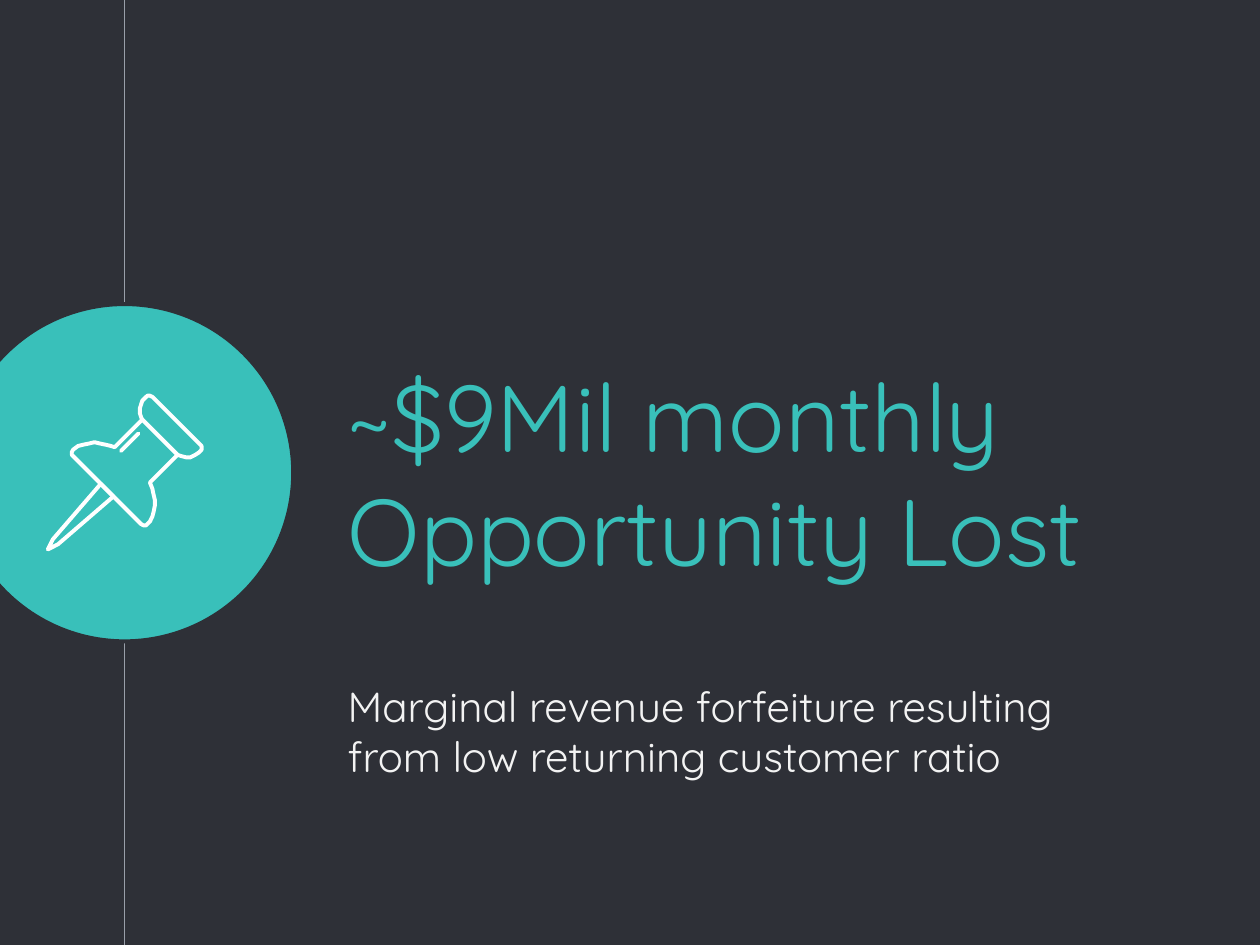
from dataclasses import dataclass

from lxml.etree import SubElement
from pptx import Presentation
from pptx.dml.color import RGBColor
from pptx.enum.shapes import MSO_CONNECTOR as Connector, MSO_SHAPE as Shape
from pptx.enum.text import MSO_ANCHOR as Anchor, MSO_AUTO_SIZE as AutoSize, PP_ALIGN as Align
from pptx.oxml.ns import qn
from pptx.util import Pt


@dataclass(frozen=True)
class Theme:
    font: str = "Quicksand"
    background: RGBColor = RGBColor(0x2E, 0x30, 0x37)
    accent: RGBColor = RGBColor(0x39, 0xC0, 0xBA)
    body: RGBColor = RGBColor(0xF3, 0xF3, 0xF3)
    icon: RGBColor = RGBColor(0xFF, 0xFF, 0xFF)
    rule: RGBColor = RGBColor(0x99, 0x9F, 0xA9)
    title_size: float = 54
    body_size: float = 24
    rule_width: float = 0.75
    outline_width: float = 2.25


@dataclass(frozen=True)
class TextBlock:
    text: str
    left: float
    top: float
    width: float
    height: float
    size: float
    color: RGBColor
    anchor: Anchor


@dataclass(frozen=True)
class Outline:
    points: tuple[tuple[int, int], ...]
    closed: bool


THEME = Theme()
SLIDE_WIDTH, SLIDE_HEIGHT = 720, 540
TIMELINE_X = 71.2
CIRCLE_TOP, CIRCLE_SIZE = 173.8, 192.7
TEXT_LEFT, TEXT_INSET = 191.5, 7.2
ICON_UNIT = 0.72

TEXT_BLOCKS = (
    TextBlock("~$9Mil monthly Opportunity Lost", TEXT_LEFT, 208.8, 514.8, 121.7,
              THEME.title_size, THEME.accent, Anchor.MIDDLE),
    TextBlock("Marginal revenue forfeiture resulting from low returning customer ratio",
              TEXT_LEFT, 381.6, 474.5, 82.1, THEME.body_size, THEME.body, Anchor.TOP),
)

NEEDLE = Outline(((80, 384), (42, 428), (38, 436), (46, 432), (90, 394)), True)
HEAD = Outline((
    (113, 333), (141, 361), (144, 362), (148, 363), (151, 363), (155, 361), (158, 359),
    (160, 357), (160, 354), (159, 353), (121, 315), (119, 314), (117, 314), (115, 316),
    (113, 318), (112, 321), (111, 324), (111, 328), (112, 331)), True)
BODY = Outline((
    (113, 333), (91, 355), (88, 354), (84, 353), (79, 352), (75, 351), (71, 352), (66, 353),
    (62, 354), (58, 357), (57, 359), (57, 361), (58, 362), (112, 416), (114, 417), (116, 417),
    (117, 416), (119, 414), (121, 410), (122, 406), (123, 401), (123, 397), (122, 393),
    (121, 388), (119, 383), (141, 361)), False)
GLINT = Outline(((96, 358), (110, 344)), False)


def add_timeline(slide) -> None:
    line = slide.shapes.add_connector(
        Connector.STRAIGHT, Pt(TIMELINE_X), Pt(0), Pt(TIMELINE_X), Pt(SLIDE_HEIGHT))
    line.line.color.rgb = THEME.rule
    line.line.width = Pt(THEME.rule_width)
    SubElement(line._element.spPr, qn("a:effectLst"))


def add_circle(slide) -> None:
    circle = slide.shapes.add_shape(
        Shape.OVAL, Pt(TIMELINE_X - CIRCLE_SIZE / 2), Pt(CIRCLE_TOP),
        Pt(CIRCLE_SIZE), Pt(CIRCLE_SIZE))
    circle.shadow.inherit = False
    circle.fill.solid()
    circle.fill.fore_color.rgb = THEME.accent
    circle.line.color.rgb = THEME.background
    circle.line.width = Pt(THEME.outline_width)


def fill_placeholder(placeholder, block: TextBlock) -> None:
    placeholder.left, placeholder.top = Pt(block.left), Pt(block.top)
    placeholder.width, placeholder.height = Pt(block.width), Pt(block.height)
    frame = placeholder.text_frame
    frame.word_wrap = True
    frame.auto_size = AutoSize.NONE
    frame.vertical_anchor = block.anchor
    frame.margin_left = frame.margin_right = Pt(TEXT_INSET)
    frame.margin_top = frame.margin_bottom = Pt(TEXT_INSET)
    paragraph = frame.paragraphs[0]
    paragraph.alignment = Align.LEFT
    paragraph.space_before = Pt(0)
    run = paragraph.add_run()
    run.text = block.text
    run.font.name = THEME.font
    run.font.size = Pt(block.size)
    run.font.color.rgb = block.color


def add_outline(group, outline: Outline) -> None:
    start, *rest = outline.points
    builder = group.shapes.build_freeform(*start, scale=Pt(ICON_UNIT))
    builder.add_line_segments(rest, close=outline.closed)
    shape = builder.convert_to_shape()
    shape.shadow.inherit = False
    shape.fill.background()
    shape.line.color.rgb = THEME.icon
    shape.line.width = Pt(THEME.outline_width)
    stroke = shape.line._get_or_add_ln()
    stroke.set("cap", "rnd")
    SubElement(stroke, qn("a:round"))


def main() -> None:
    presentation = Presentation()
    presentation.slide_width, presentation.slide_height = Pt(SLIDE_WIDTH), Pt(SLIDE_HEIGHT)
    slide = presentation.slides.add_slide(presentation.slide_layouts[0])
    slide.background.fill.solid()
    slide.background.fill.fore_color.rgb = THEME.background
    add_timeline(slide)
    add_circle(slide)
    for placeholder, block in zip(slide.placeholders, TEXT_BLOCKS):
        fill_placeholder(placeholder, block)
    pushpin = slide.shapes.add_group_shape()
    for outline in (NEEDLE, HEAD, BODY, GLINT):
        add_outline(pushpin, outline)
    presentation.save("out.pptx")


if __name__ == "__main__":
    main()
